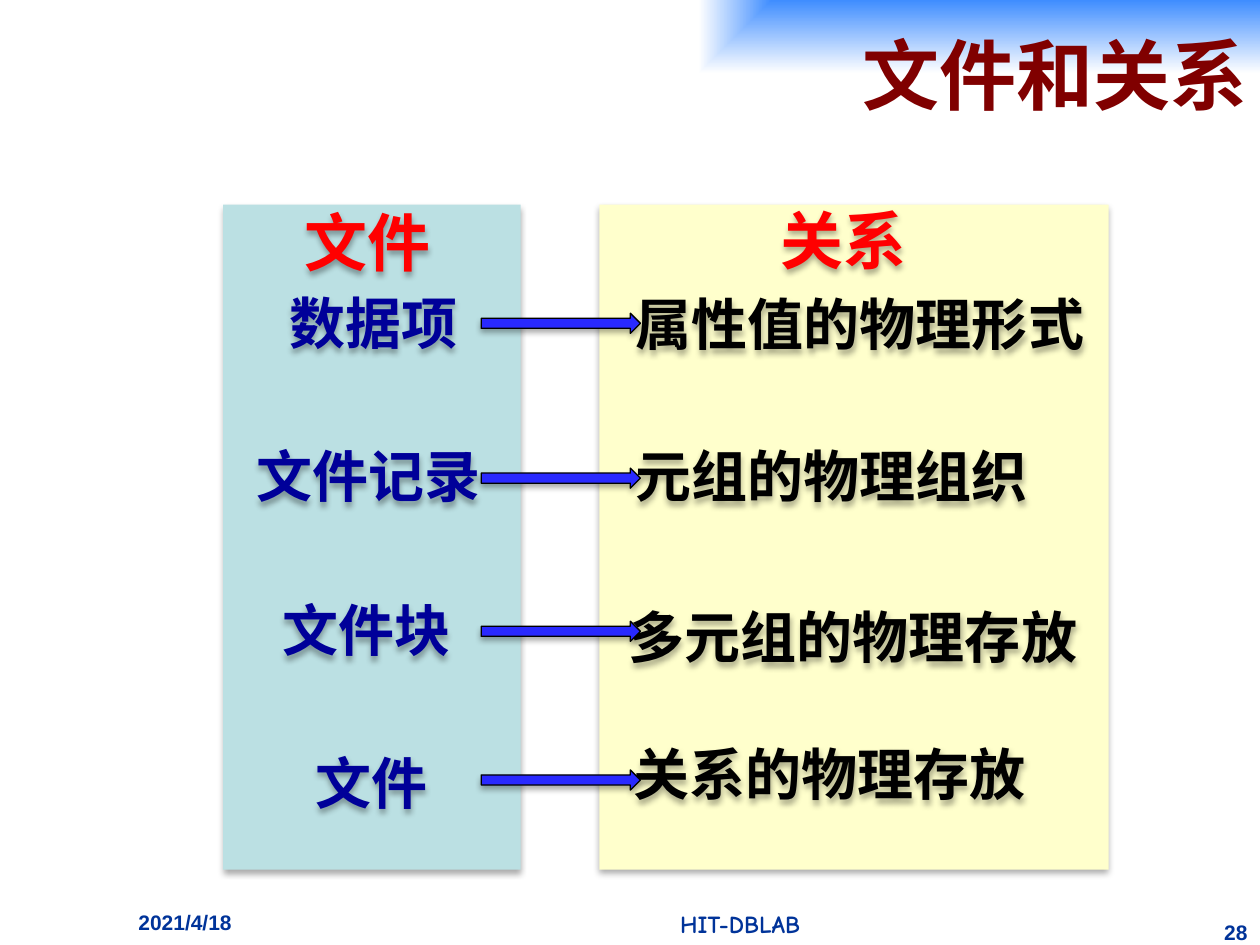
import pptx
import pptx.util
import pptx.dml.color
import pptx.enum.shapes
import pptx.enum.text
import pptx.oxml
import pptx.oxml.ns

Pt = pptx.util.Pt
RGB = pptx.dml.color.RGBColor
MSO = pptx.enum.shapes.MSO_SHAPE
ALIGN = pptx.enum.text.PP_ALIGN
ANCHOR = pptx.enum.text.MSO_ANCHOR
AUTO = pptx.enum.text.MSO_AUTO_SIZE

MAROON = RGB(0x80, 0x00, 0x00)
FOOTER_BLUE = RGB(0x00, 0x33, 0x99)
NAVY = RGB(0x00, 0x00, 0x99)
RED = RGB(0xFF, 0x00, 0x00)
BLACK = RGB(0x00, 0x00, 0x00)
TEAL = RGB(0xBB, 0xE0, 0xE3)
CREAM = RGB(0xFF, 0xFF, 0xCC)
ARROW_BLUE = RGB(0x29, 0x29, 0xFF)
SERIF = "Times New Roman"

NS = pptx.oxml.ns.nsdecls("a")
SHADOW = (f'<a:effectLst {NS}><a:outerShdw blurRad="{Pt(3.5)}" dist="{Pt(2.2)}" '
          'dir="5400000" rotWithShape="0"><a:srgbClr val="000000">'
          '<a:alpha val="32000"/></a:srgbClr></a:outerShdw></a:effectLst>')
CORNER_GLOW = (f'<a:gradFill {NS} rotWithShape="0"><a:gsLst>'
               '<a:gs pos="0"><a:srgbClr val="3F8DFF"/></a:gs>'
               '<a:gs pos="100000"><a:srgbClr val="FFFFFF"/></a:gs></a:gsLst>'
               '<a:path path="rect"><a:fillToRect l="100000" b="100000"/></a:path>'
               '</a:gradFill>')


def add_effect(sp, xml):
    sp._element.spPr.append(pptx.oxml.parse_xml(xml))


def write(tf, text, size, color, font=SERIF, align=ALIGN.LEFT):
    p = tf.paragraphs[0]
    p.alignment = align
    r = p.add_run()
    r.text = text
    for name, value in {"size": Pt(size), "name": font, "bold": True}.items():
        setattr(r.font, name, value)
    r.font.color.rgb = color


def add_label(s, box, text, size, color, font=SERIF, align=ALIGN.CENTER,
              wrap=True, shadow=True):
    sp = s.shapes.add_textbox(*map(Pt, box))
    sp.text_frame.word_wrap = wrap
    write(sp.text_frame, text, size, color, font, align)
    if shadow:
        sp.text_frame.auto_size = AUTO.SHAPE_TO_FIT_TEXT
        add_effect(sp, SHADOW)


def add_title(s, box, text):
    sp = s.shapes.title
    sp.left, sp.top, sp.width, sp.height = map(Pt, box)
    add_effect(sp, CORNER_GLOW)
    sp.text_frame.vertical_anchor = ANCHOR.MIDDLE
    write(sp.text_frame, text, 44, MAROON, align=ALIGN.RIGHT)


def add_panel(s, box, fill, heading, heading_at, rows, color):
    """Coloured panel; heading and row offsets count from its corner."""
    x, y, _, _ = box
    sp = s.shapes.add_shape(MSO.RECTANGLE, *map(Pt, box))
    sp.fill.solid()
    sp.fill.fore_color.rgb = fill
    sp.line.fill.background()
    add_effect(sp, SHADOW)
    for text, dx, dy, w in rows:
        add_label(s, (x + dx, y + dy, w, 46), text, 32, color)
    dx, dy = heading_at
    add_label(s, (x + dx, y + dy, 87, 51), heading, 36, RED,
              align=ALIGN.LEFT, wrap=False)


def add_arrows(s, x, tops, w, h):
    for top in tops:
        sp = s.shapes.add_shape(MSO.RIGHT_ARROW, Pt(x), Pt(top), Pt(w), Pt(h))
        sp.fill.solid()
        sp.fill.fore_color.rgb = ARROW_BLUE
        sp.line.color.rgb = BLACK
        sp.line.width = Pt(0.75)
        add_effect(sp, SHADOW)


def add_footer(s):
    for box, text, size, font, align in (
            ((72, 516, 126, 24), "2021/4/18", 12, "Arial", ALIGN.LEFT),
            ((252, 516, 342, 24), "HIT-DBLAB", 14, "Comic Neue", ALIGN.CENTER),
            ((690, 522, 30, 18), "28", 12, "Arial", ALIGN.RIGHT)):
        add_label(s, box, text, size, FOOTER_BLUE, font, align, shadow=False)


def main():
    prs = pptx.Presentation()
    prs.slide_width, prs.slide_height = Pt(720), Pt(540)
    s = prs.slides.add_slide(prs.slide_layouts[5])

    # Title band and footer
    add_title(s, (78, 0, 642, 84), "文件和关系")
    add_footer(s)

    # File side
    add_panel(s, (127.5, 117, 170, 380), TEAL, "文件", (39.5, -4),
              [("数据项", 14.5, 44.5, 142.5), ("文件记录", 5.5, 132, 155.5),
               ("文件块", 10.5, 220, 142.5), ("文件", 13.5, 307, 142.5)], NAVY)

    # Relation side
    add_panel(s, (342.5, 117, 291, 380), CREAM, "关系", (96.5, -5.5),
              [("属性值的物理形式", -14, 45, 326), ("元组的物理组织", -30.5, 131.5, 326),
               ("多元组的物理存放", -18, 223.5, 326), ("关系的物理存放", -31.5, 302, 326)],
              BLACK)

    # Arrows from file to relation
    add_arrows(s, 275, (179, 267.5, 355, 440), 91, 11.5)

    prs.save("out.pptx")


if __name__ == "__main__":
    main()
